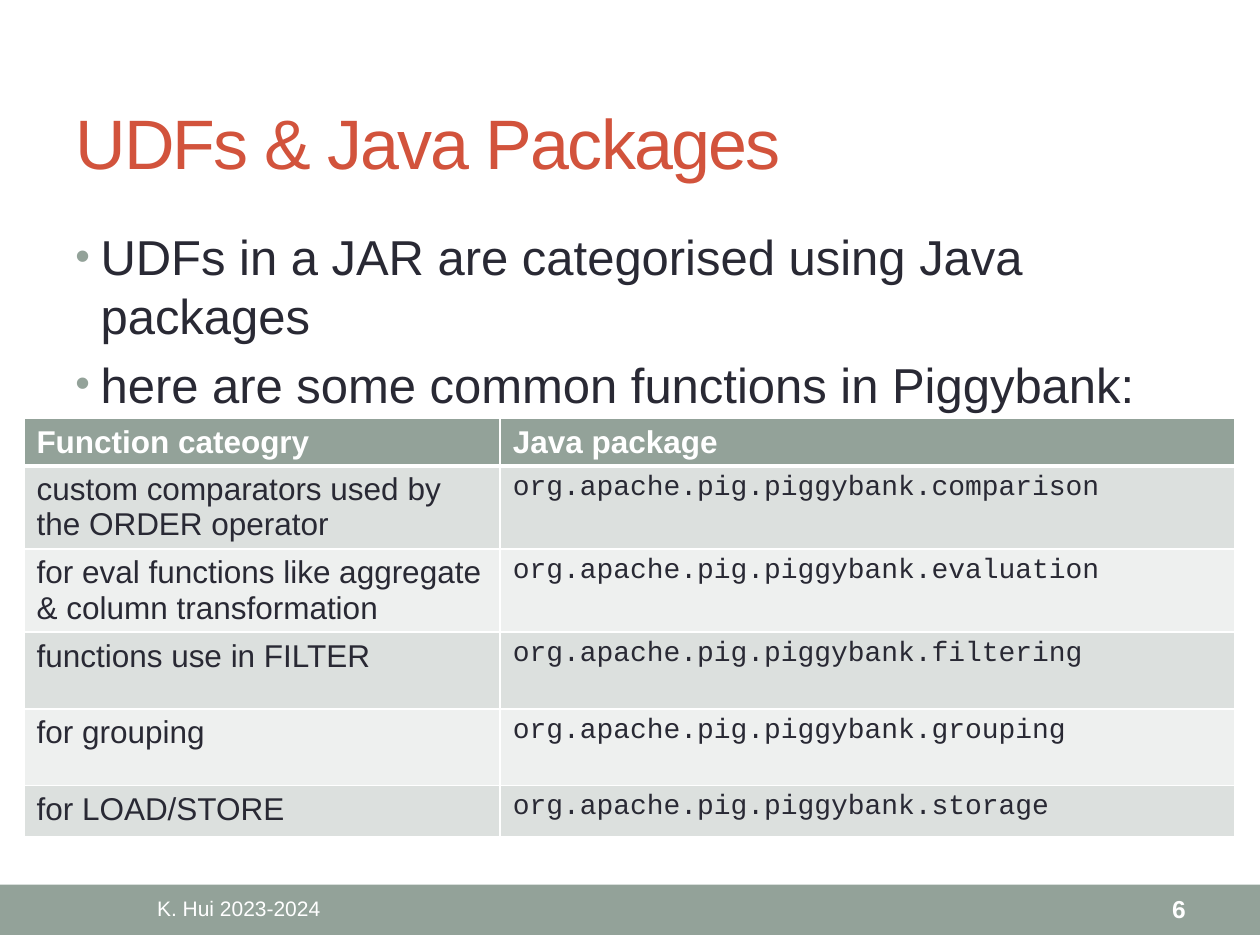
from dataclasses import dataclass

import lxml.etree
import pptx
import pptx.dml.color
import pptx.enum.shapes
import pptx.enum.text
import pptx.oxml.ns
import pptx.util

RGBColor = pptx.dml.color.RGBColor
Align = pptx.enum.text.PP_ALIGN
Anchor = pptx.enum.text.MSO_ANCHOR

SAGE = RGBColor(0x93, 0xA2, 0x99)
RUST = RGBColor(0xD2, 0x53, 0x3C)
INK = RGBColor(0x29, 0x29, 0x34)
WHITE = RGBColor(0xFF, 0xFF, 0xFF)
BAND_DARK = RGBColor(0xDC, 0xE0, 0xDE)
BAND_LIGHT = RGBColor(0xEE, 0xF0, 0xEF)

SLIDE_W = pptx.util.Inches(10)
SLIDE_H = pptx.util.Inches(7.5)


@dataclass(frozen=True)
class Box:
    """A rectangle in percent of the slide's width and height."""
    left: float
    top: float
    width: float
    height: float

    def emu(self) -> tuple[int, int, int, int]:
        return (across(self.left), down(self.top),
                across(self.width), down(self.height))


@dataclass(frozen=True)
class FunctionRow:
    category: str
    package_name: str
    height: float


def across(percent: float) -> int:
    return round(SLIDE_W * percent / 100)


def down(percent: float) -> int:
    return round(SLIDE_H * percent / 100)


FUNCTION_ROWS = [
    FunctionRow("custom comparators used by the ORDER operator", "comparison", 8.8),
    FunctionRow("for eval functions like aggregate & column transformation", "evaluation", 8.8),
    FunctionRow("functions use in FILTER", "filtering", 8.1),
    FunctionRow("for grouping", "grouping", 8.1),
    FunctionRow("for LOAD/STORE", "storage", 5.4),
]
HEADER_HEIGHT = 5
TABLE_COLUMNS = (37.8, 58.3)


def add_xml(parent, tag: str, **attributes):
    return lxml.etree.SubElement(parent, pptx.oxml.ns.qn(tag), attributes)


def write(p, text: str, *, size: float, color: RGBColor = INK, font: str = "Arial",
          bold: bool = False, align=Align.LEFT, tracking: float = 0) -> None:
    p.alignment = align
    r = p.add_run()
    r.text = text
    r.font.size = pptx.util.Pt(size)
    r.font.name = font
    r.font.bold = bold
    r.font.color.rgb = color
    if tracking:
        r.font._element.set("spc", str(round(tracking * 100)))


def add_text_frame(s, box: Box, anchor=Anchor.MIDDLE):
    tf = s.shapes.add_textbox(*box.emu()).text_frame
    tf.word_wrap = True
    tf.vertical_anchor = anchor
    return tf


def add_bullet(p) -> None:
    pPr = p._p.get_or_add_pPr()
    indent = pptx.util.Inches(0.2)
    pPr.set("marL", str(indent))
    pPr.set("indent", str(-indent))
    add_xml(add_xml(pPr, "a:buClr"), "a:srgbClr", val=str(SAGE))
    add_xml(pPr, "a:buSzPct", val="85000")
    add_xml(pPr, "a:buFont", typeface="Arial")
    add_xml(pPr, "a:buChar", char="•")


def add_bullets(s, box: Box, lines: list[str]) -> None:
    tf = add_text_frame(s, box, Anchor.TOP)
    for i, line in enumerate(lines):
        p = tf.add_paragraph() if i else tf.paragraphs[0]
        add_bullet(p)
        if i:
            p.space_before = pptx.util.Pt(5.6)
        write(p, line, size=28)


def style_cell(cell, fill: RGBColor, top: float, bottom: float) -> None:
    """Fill a cell and rule it in white, with line widths in points."""
    cell.margin_bottom = pptx.util.Inches(0.01)
    tcPr = cell._tc.get_or_add_tcPr()
    for side, width in (("L", 1), ("R", 1), ("T", top), ("B", bottom)):
        ln = add_xml(tcPr, f"a:ln{side}", w=str(pptx.util.Pt(width)))
        add_xml(add_xml(ln, "a:solidFill"), "a:srgbClr", val=str(WHITE))
    cell.fill.solid()
    cell.fill.fore_color.rgb = fill


def add_function_table(s, left: float, top: float) -> None:
    heights = [HEADER_HEIGHT] + [row.height for row in FUNCTION_ROWS]
    box = Box(left, top, sum(TABLE_COLUMNS), sum(heights))
    table = s.shapes.add_table(len(heights), len(TABLE_COLUMNS), *box.emu()).table
    for column, width in zip(table.columns, TABLE_COLUMNS):
        column.width = across(width)
    for row, height in zip(table.rows, heights):
        row.height = down(height)

    for cell, text in zip(table.rows[0].cells, ("Function cateogry", "Java package")):
        style_cell(cell, SAGE, top=1, bottom=3)
        write(cell.text_frame.paragraphs[0], text, size=18, color=WHITE, bold=True)
    for i, row in enumerate(FUNCTION_ROWS, start=1):
        category, package_cell = table.rows[i].cells
        for cell in (category, package_cell):
            style_cell(cell, BAND_DARK if i % 2 else BAND_LIGHT,
                       top=3 if i == 1 else 1, bottom=1)
        write(category.text_frame.paragraphs[0], row.category, size=18)
        write(package_cell.text_frame.paragraphs[0],
              f"org.apache.pig.piggybank.{row.package_name}", size=16, font="Courier New")


def add_footer(s) -> None:
    bar = s.shapes.add_shape(pptx.enum.shapes.MSO_SHAPE.RECTANGLE,
                             *Box(0, 93.6, 100, 5.33).emu())
    bar.shadow.inherit = False
    bar.fill.solid()
    bar.fill.fore_color.rgb = SAGE
    bar.line.fill.background()
    author = add_text_frame(s, Box(5, 93.73, 27.9, 4.8))
    write(author.paragraphs[0], "K. Hui 2023-2024", size=12, color=WHITE, align=Align.CENTER)
    number = add_text_frame(s, Box(83.4, 93.73, 11.7, 4.8))
    write(number.paragraphs[0], "6", size=14, color=WHITE, bold=True, align=Align.RIGHT)


def main() -> None:
    prs = pptx.Presentation()
    prs.slide_width, prs.slide_height = SLIDE_W, SLIDE_H
    s = prs.slides.add_slide(prs.slide_layouts[6])
    add_footer(s)
    title = add_text_frame(s, Box(5, 7.73, 90, 14.4))
    write(title.paragraphs[0], "UDFs & Java Packages", size=40, color=RUST, tracking=-1)
    add_bullets(s, Box(5, 23.33, 90, 19.6), [
        "UDFs in a JAR are categorised using Java packages",
        "here are some common functions in Piggybank:",
    ])
    add_function_table(s, left=1.9, top=44.3)
    prs.save("out.pptx")


if __name__ == "__main__":
    main()
